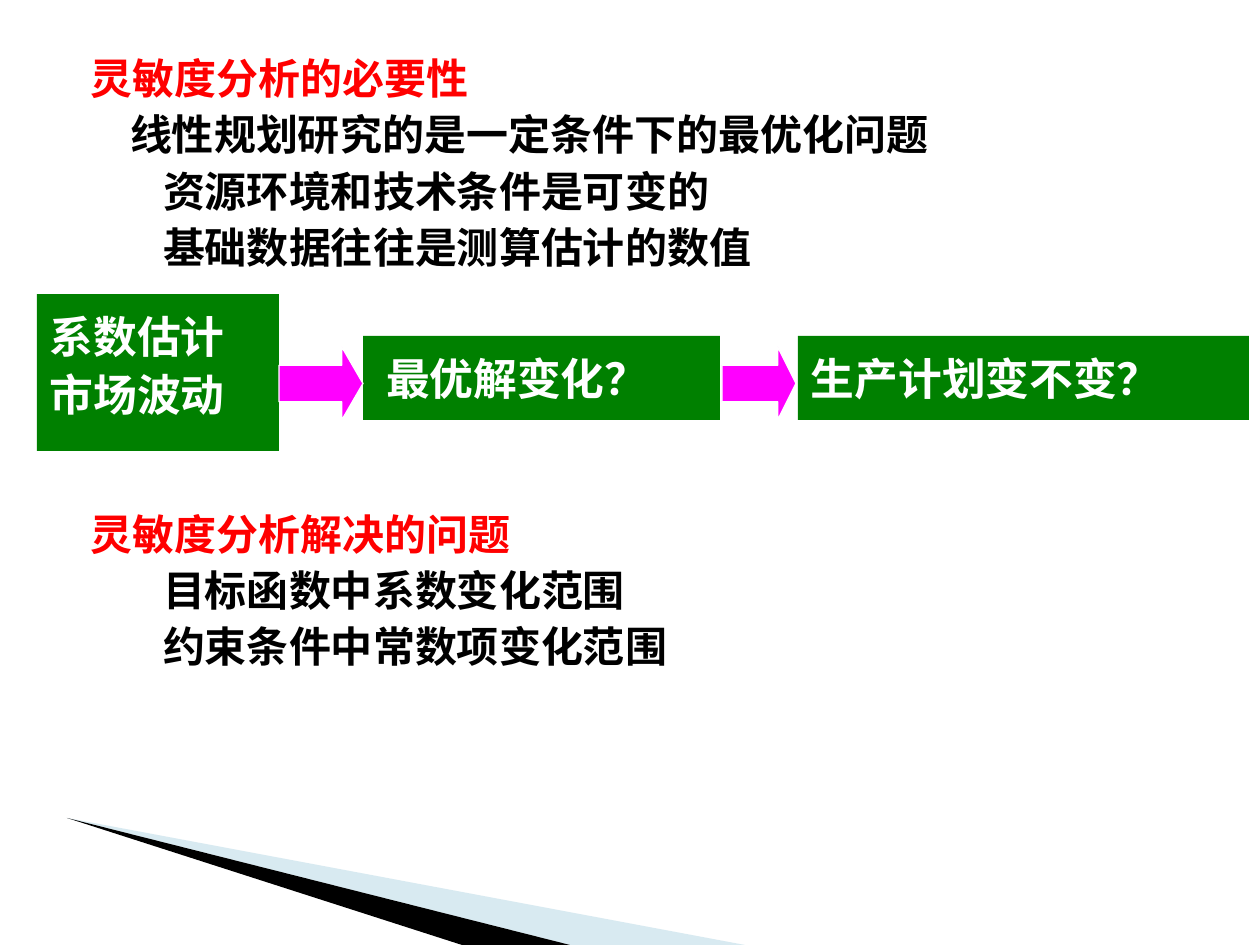
import lxml.etree
import pptx
import pptx.dml.color
import pptx.enum.shapes
import pptx.enum.text
import pptx.oxml.ns
import pptx.util

EMU_PER_PX = 914400 / 126
RED, BLACK, WHITE = "FF0000", "000000", "FFFFFF"
GREEN, MAGENTA, PALE_BLUE = "008000", "FF00FF", "9FCBDC"
SANS, MONO = "Noto Sans CJK SC", "Noto Sans Mono"


def px(length):
    return pptx.util.Emu(round(length * EMU_PER_PX))


def rgb(hex_colour):
    return pptx.dml.color.RGBColor.from_string(hex_colour)


def add_element(parent, tag, **attributes):
    return lxml.etree.SubElement(parent, pptx.oxml.ns.qn(tag), **attributes)


class SlideBuilder:
    """Holds the current slide and its shared style."""

    # Left edge of the text at each outline level, in px from the inset.
    hanging = [(50, -35), (86, -32), (118, -31)]

    def __init__(self, slide):
        self.slide = slide

    def fill(self, shape, colour, outline=None):
        shape.shadow.inherit = False
        shape.fill.solid()
        shape.fill.fore_color.rgb = rgb(colour)
        if outline:
            shape.line.color.rgb = rgb(outline)
            shape.line.width = pptx.util.Pt(0.75)
        else:
            shape.line.fill.background()

    def run(self, paragraph, text, size, colour, latin):
        run = paragraph.add_run()
        run.text = text
        run.font.size = pptx.util.Pt(size)
        run.font.bold = True
        run.font.color.rgb = rgb(colour)
        run.font.name = latin
        add_element(run.font._element, "a:ea", typeface=SANS)

    def frame(self, shape, left=13, top=6, right=13):
        text_frame = shape.text_frame
        text_frame.word_wrap = True
        text_frame.auto_size = pptx.enum.text.MSO_AUTO_SIZE.NONE
        text_frame.vertical_anchor = pptx.enum.text.MSO_ANCHOR.TOP
        text_frame.margin_left, text_frame.margin_right = px(left), px(right)
        text_frame.margin_top = text_frame.margin_bottom = px(top)
        return text_frame

    def wedge(self, points, colour, opacity=100):
        builder = self.slide.shapes.build_freeform(*points[0], scale=EMU_PER_PX)
        builder.add_line_segments(points[1:], close=True)
        shape = builder.convert_to_shape()
        self.fill(shape, colour)
        if opacity < 100:
            solid = shape._element.spPr.find(pptx.oxml.ns.qn("a:solidFill"))
            add_element(solid[0], "a:alpha", val=str(opacity * 1000))

    def outline(self, left, top, width, height, entries):
        """Fill the body with (level, text, colour, latin font, space before)."""
        body = self.slide.placeholders[1]
        body.left, body.top, body.width, body.height = map(
            px, (left, top, width, height))
        text_frame = self.frame(body)
        for index, (level, text, colour, latin, before) in enumerate(entries):
            paragraph = text_frame.add_paragraph() if index else text_frame.paragraphs[0]
            paragraph.level = level
            margin, indent = self.hanging[level]
            properties = paragraph._p.get_or_add_pPr()
            properties.set("marL", str(px(margin)))
            properties.set("indent", str(px(indent)))
            add_element(properties, "a:buNone")
            paragraph.alignment = pptx.enum.text.PP_ALIGN.JUSTIFY
            paragraph.line_spacing = pptx.util.Pt(28.7)
            paragraph.space_before = pptx.util.Pt(before)
            self.run(paragraph, text, 24, colour, latin)

    def step(self, left, top, width, height, text, inset=13):
        shape = self.slide.shapes.add_shape(
            pptx.enum.shapes.MSO_SHAPE.RECTANGLE, *map(px, (left, top, width, height)))
        self.fill(shape, GREEN)
        paragraph = self.frame(shape, left=inset, top=10, right=20).paragraphs[0]
        paragraph.alignment = pptx.enum.text.PP_ALIGN.LEFT
        paragraph.line_spacing = pptx.util.Pt(33.1)
        self.run(paragraph, text, 25, WHITE, MONO)

    def arrow(self, left, top, width, height, head):
        shape = self.slide.shapes.add_shape(
            pptx.enum.shapes.MSO_SHAPE.RIGHT_ARROW, *map(px, (left, top, width, height)))
        shape.adjustments[0], shape.adjustments[1] = 0.5, head
        self.fill(shape, MAGENTA, WHITE)


def main():
    presentation = pptx.Presentation()
    presentation.slide_width, presentation.slide_height = px(1260), px(945)
    slide = presentation.slides.add_slide(presentation.slide_layouts[1])
    title = slide.shapes.title._element
    title.getparent().remove(title)
    page = SlideBuilder(slide)

    page.wedge([(67, 818), (745, 945), (570, 945)], PALE_BLUE, opacity=40)
    page.wedge([(67, 818), (570, 945), (462, 945)], BLACK)

    page.outline(63, 47, 1197, 793, [
        (0, "灵敏度分析的必要性", RED, MONO, 0),
        (1, "线性规划研究的是一定条件下的最优化问题", BLACK, MONO, 3.3),
        (2, "资源环境和技术条件是可变的", BLACK, MONO, 3.5),
        (2, "基础数据往往是测算估计的数值", BLACK, MONO, 3.5),
        (0, "灵敏度分析解决的问题", RED, MONO, 135.3),
        (2, "目标函数中系数变化范围", BLACK, SANS, 3.5),
        (2, "约束条件中常数项变化范围", BLACK, SANS, 3.5),
    ])

    page.step(37, 294, 242, 157, "系数估计市场波动")
    page.step(363, 336, 357, 84, "最优解变化？", inset=23)
    page.step(798, 336, 451, 84, "生产计划变不变？")
    page.arrow(279, 347, 84, 73, head=0.29)
    page.arrow(722, 347, 74, 73, head=0.25)

    presentation.save("out.pptx")


if __name__ == "__main__":
    main()
